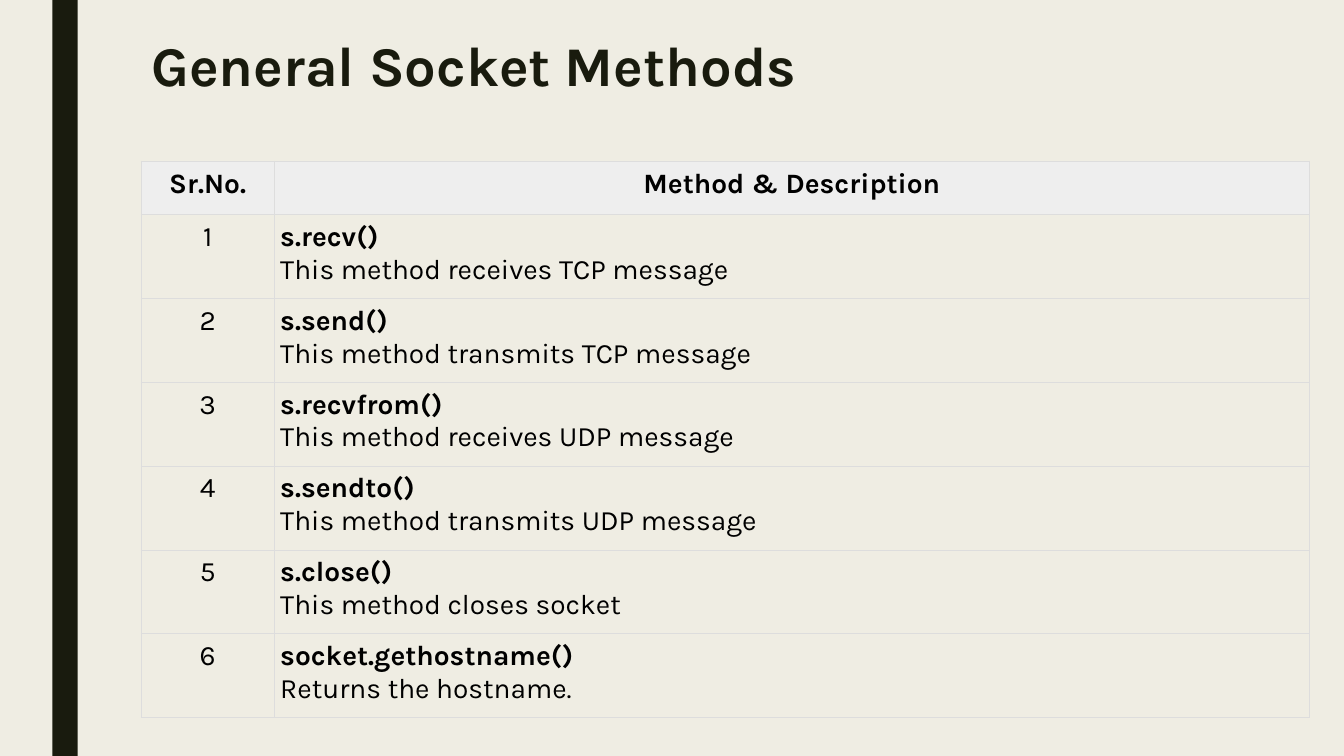
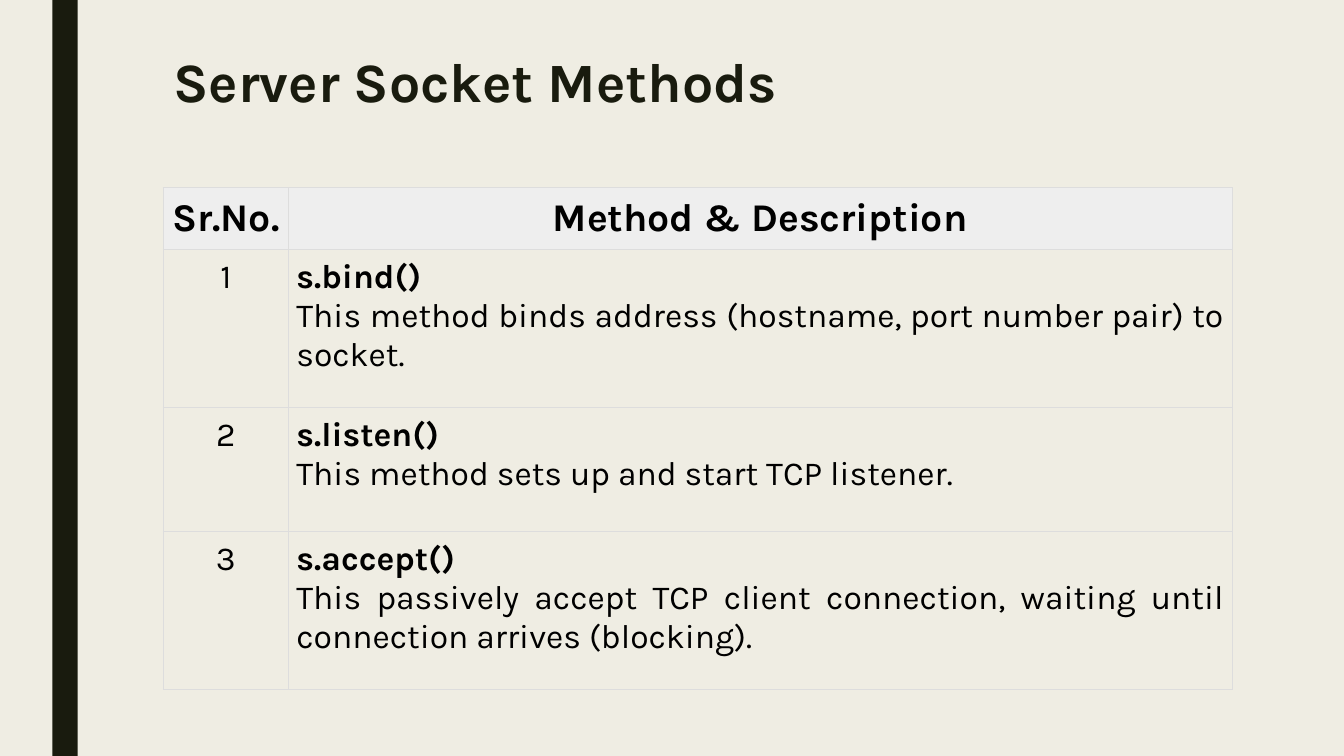
from dataclasses import dataclass

from lxml.etree import SubElement
from pptx import Presentation
from pptx.dml.color import RGBColor
from pptx.enum.shapes import MSO_SHAPE
from pptx.enum.text import MSO_ANCHOR, MSO_AUTO_SIZE, PP_ALIGN
from pptx.oxml.ns import qn
from pptx.util import Inches, Pt


@dataclass(frozen=True)
class Theme:
    font: str = "Karla"
    background: str = "EFEDE3"
    dark: str = "191B0E"
    text: str = "000000"
    header: str = "EEEEEE"
    border: str = "DDDDDD"
    border_width: float = 0.75
    title_spacing: float = 0.89


THEME = Theme()
SLIDE_WIDTH, SLIDE_HEIGHT = 13.33, 7.5
BAND_BOX = (0.52, 0, 0.25, SLIDE_HEIGHT)
HEADINGS = ("Sr.No.", "Method & Description")

SLIDES = [
    dict(
        title="General Socket Methods",
        title_box=(1.4, 0.33, 10.5, 0.87),
        title_size=40,
        table_box=(1.4, 1.6, 11.59, 5.52),
        number_width=1.32,
        row_heights=[0.53] + [(5.52 - 0.53) / 6] * 6,
        header_size=20,
        body_size=20,
        inset=0.06,
        methods=[
            ("s.recv()", "This method receives TCP message"),
            ("s.send()", "This method transmits TCP message"),
            ("s.recvfrom()", "This method receives UDP message"),
            ("s.sendto()", "This method transmits UDP message"),
            ("s.close()", "This method closes socket"),
            ("socket.gethostname()", "Returns the hostname."),
        ],
    ),
    dict(
        title="Server Socket Methods",
        title_box=(1.62, 0.5, 10.37, 0.73),
        title_size=39.6,
        table_box=(1.62, 1.86, 10.6, 4.99),
        number_width=1.24,
        row_heights=[0.58, 1.57, 1.23, 1.57],
        header_size=28,
        body_size=24,
        inset=0.08,
        methods=[
            ("s.bind()", "This method binds address (hostname, port number pair) to socket."),
            ("s.listen()", "This method sets up and start TCP listener."),
            ("s.accept()", "This passively accept TCP client connection, "
                           "waiting until connection arrives (blocking)."),
        ],
    ),
]


def color(value):
    return RGBColor.from_string(value)


def write(paragraph, text, *, size, bold=False, fill=THEME.text,
          align=PP_ALIGN.LEFT, spacing=None):
    paragraph.alignment = align
    if spacing:
        paragraph.line_spacing = spacing
    run = paragraph.add_run()
    run.text = text
    run.font.name = THEME.font
    run.font.size = Pt(size)
    run.font.bold = bold
    run.font.color.rgb = color(fill)


def style_background(presentation):
    fill = presentation.slide_master.background.fill
    fill.solid()
    fill.fore_color.rgb = color(THEME.background)


def place_band(slide, box):
    band = slide.shapes.add_shape(MSO_SHAPE.RECTANGLE, *map(Inches, box))
    band.shadow.inherit = False
    band.fill.solid()
    band.fill.fore_color.rgb = color(THEME.dark)
    band.line.fill.background()


def place_title(slide, box, text, size):
    title = slide.shapes.title
    title.left, title.top, title.width, title.height = map(Inches, box)
    frame = title.text_frame
    frame.word_wrap = True
    frame.auto_size = MSO_AUTO_SIZE.NONE
    frame.vertical_anchor = MSO_ANCHOR.TOP
    write(frame.paragraphs[0], text, size=size, bold=True, fill=THEME.dark,
          spacing=THEME.title_spacing)


def add_borders(cell):
    properties = cell._tc.get_or_add_tcPr()
    for position, side in enumerate(("lnL", "lnR", "lnT", "lnB")):
        line = SubElement(properties, qn(f"a:{side}"), w=str(Pt(THEME.border_width)))
        fill = SubElement(line, qn("a:solidFill"))
        SubElement(fill, qn("a:srgbClr"), val=THEME.border)
        properties.insert(position, line)


def format_cell(cell, inset, fill=None):
    cell.margin_left = cell.margin_right = Inches(inset)
    cell.margin_top = cell.margin_bottom = Inches(inset)
    cell.vertical_anchor = MSO_ANCHOR.TOP
    if fill:
        cell.fill.solid()
        cell.fill.fore_color.rgb = color(fill)
    else:
        cell.fill.background()
    add_borders(cell)


def place_table(slide, box, methods, number_width, row_heights,
                header_size, body_size, inset):
    left, top, width, height = box
    table = slide.shapes.add_table(
        len(methods) + 1, len(HEADINGS), *map(Inches, box)).table
    table.first_row = table.horz_banding = False
    for column, column_width in zip(table.columns, (number_width, width - number_width)):
        column.width = Inches(column_width)
    for row, row_height in zip(table.rows, row_heights):
        row.height = Inches(row_height)

    for column, heading in enumerate(HEADINGS):
        cell = table.cell(0, column)
        format_cell(cell, inset, THEME.header)
        write(cell.text_frame.paragraphs[0], heading, size=header_size, bold=True,
              align=PP_ALIGN.CENTER)

    for number, (method, description) in enumerate(methods, start=1):
        number_cell, method_cell = table.cell(number, 0), table.cell(number, 1)
        format_cell(number_cell, inset)
        format_cell(method_cell, inset)
        write(number_cell.text_frame.paragraphs[0], str(number), size=body_size,
              align=PP_ALIGN.CENTER)
        frame = method_cell.text_frame
        write(frame.paragraphs[0], method, size=body_size, bold=True,
              align=PP_ALIGN.JUSTIFY)
        write(frame.add_paragraph(), description, size=body_size,
              align=PP_ALIGN.JUSTIFY)


def add_methods_slide(presentation, title, title_box, title_size, table_box, **table):
    slide = presentation.slides.add_slide(presentation.slide_layouts[5])
    place_band(slide, BAND_BOX)
    place_title(slide, title_box, title, title_size)
    place_table(slide, table_box, **table)


presentation = Presentation()
presentation.slide_width = Inches(SLIDE_WIDTH)
presentation.slide_height = Inches(SLIDE_HEIGHT)
style_background(presentation)
for content in SLIDES:
    add_methods_slide(presentation, **content)
presentation.save("out.pptx")
